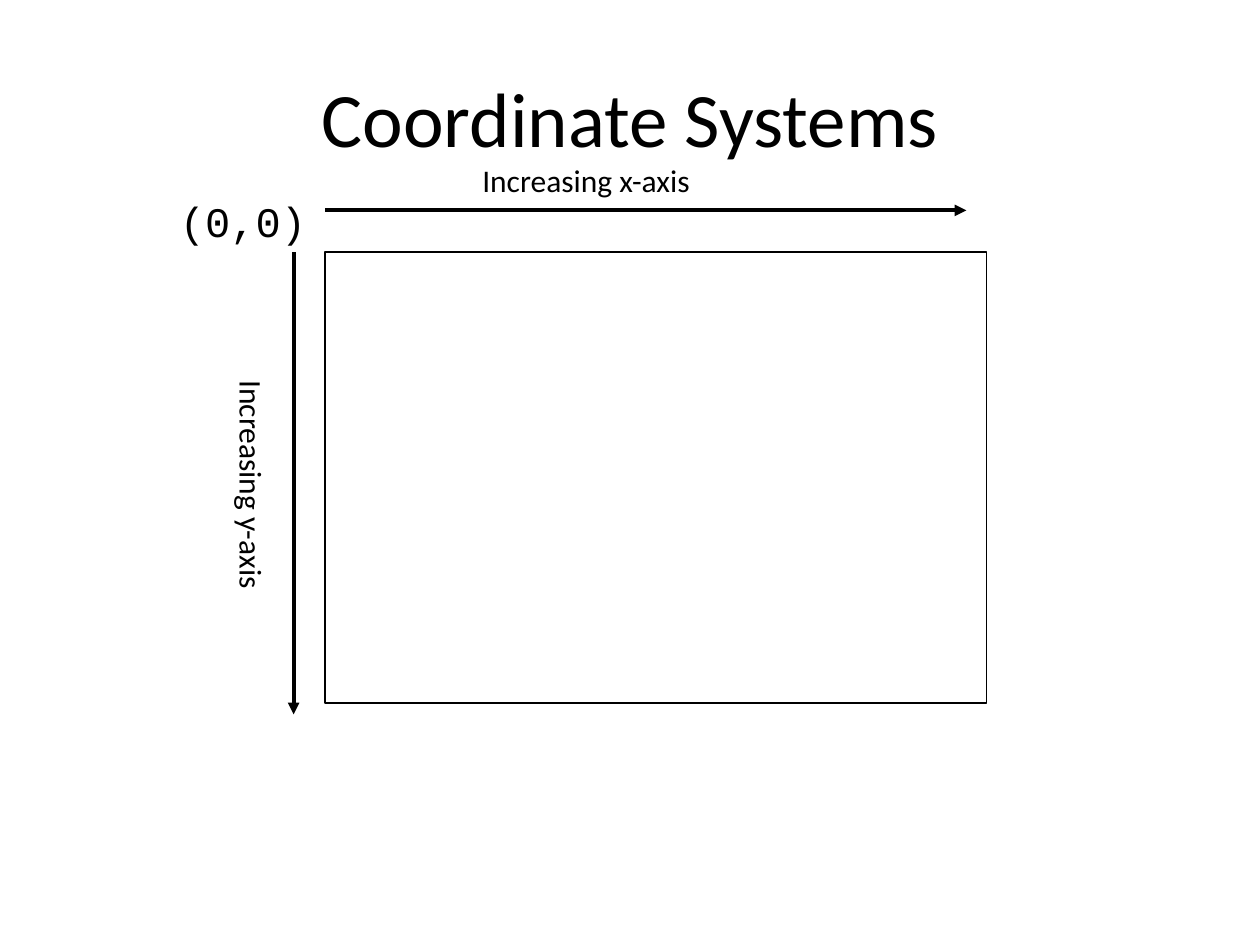
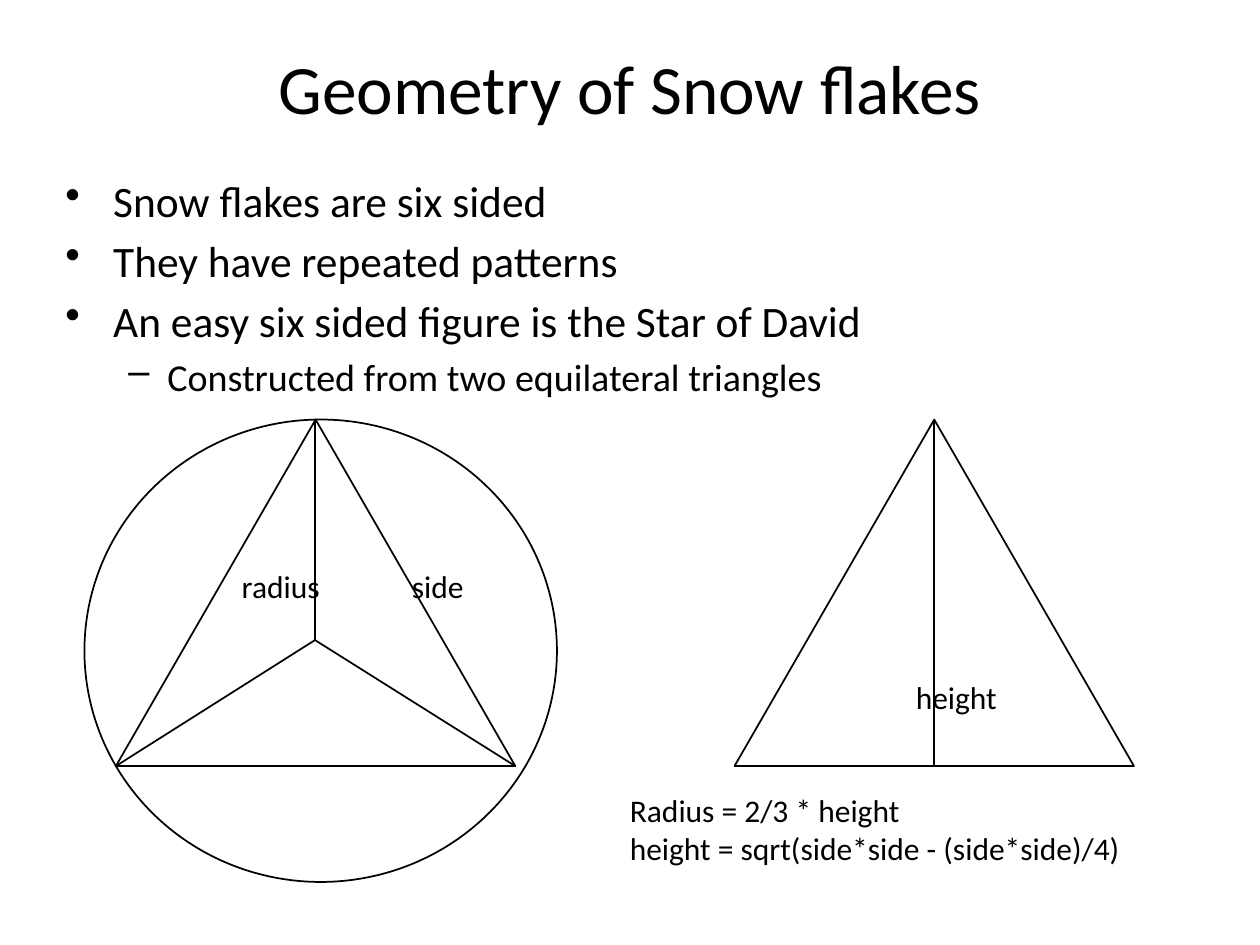
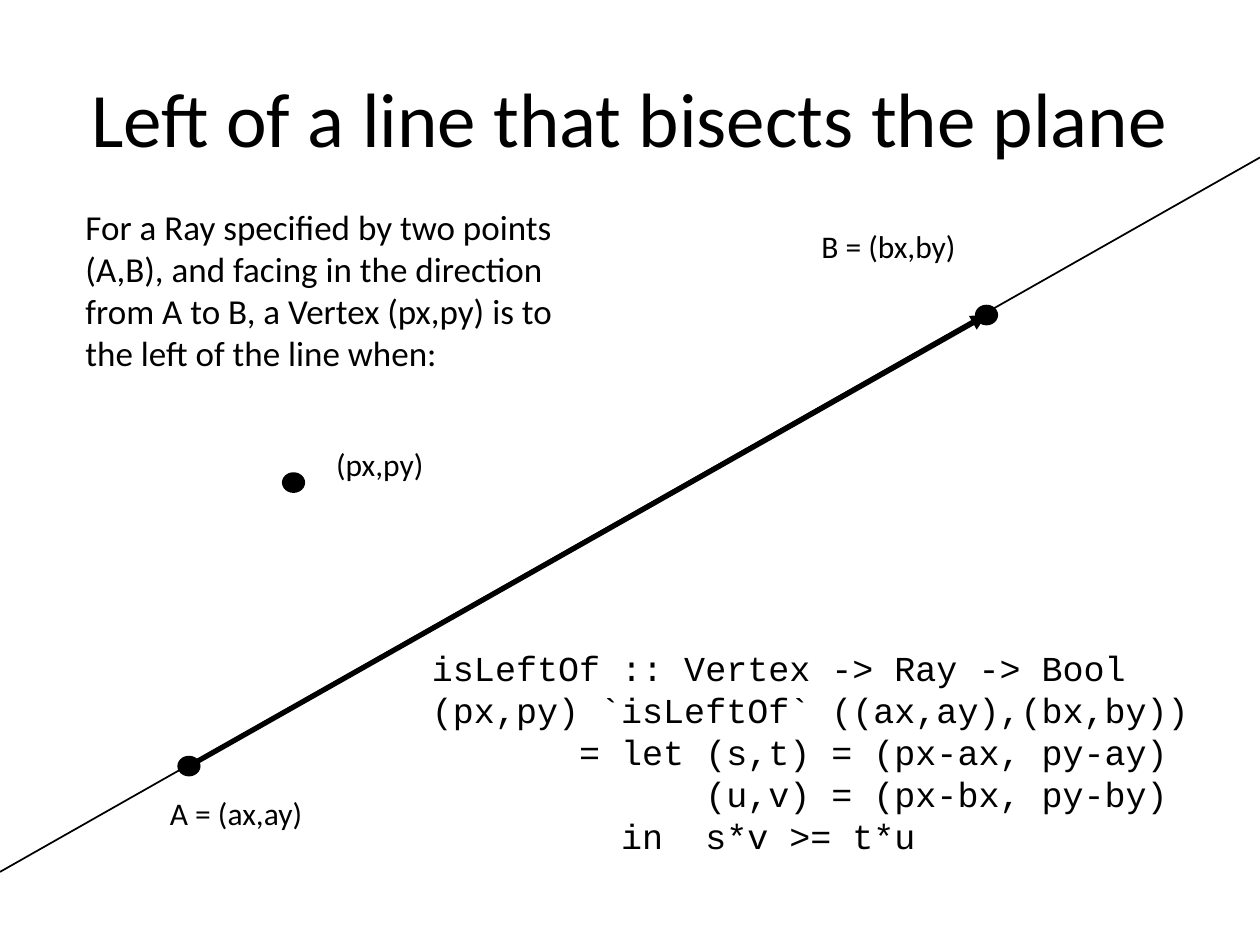
from dataclasses import dataclass

from lxml.etree import SubElement
from pptx import Presentation
from pptx.dml.color import RGBColor
from pptx.enum.shapes import MSO_CONNECTOR as Connector, MSO_SHAPE as Preset
from pptx.enum.text import MSO_ANCHOR as Anchor, PP_ALIGN as Align
from pptx.oxml.ns import qn
from pptx.slide import Slide
from pptx.util import Inches, Pt


@dataclass(frozen=True)
class Theme:
    ink: RGBColor = RGBColor(0x00, 0x00, 0x00)
    paper: RGBColor = RGBColor(0xFF, 0xFF, 0xFF)
    sans: str = "Calibri"
    mono: str = "Courier New"
    title: float = 44
    small_title: float = 39.6
    bullet: float = 24.8
    sub_bullet: float = 21.7
    origin: float = 24
    passage: float = 20
    label: float = 18
    thin: float = 1
    axis: float = 2.25
    ray: float = 3


THEME = Theme()


@dataclass(frozen=True)
class Point:
    x: float
    y: float


@dataclass(frozen=True)
class Frame:
    left: float
    top: float
    width: float
    height: float

    def lengths(self) -> tuple:
        return tuple(Inches(n) for n in (self.left, self.top, self.width, self.height))


@dataclass(frozen=True)
class Text:
    frame: Frame
    lines: tuple[str, ...]
    size: float = THEME.label
    font: str = THEME.sans
    align: Align = Align.LEFT
    anchor: Anchor = Anchor.TOP
    rotation: float = 0
    wrap: bool = False


@dataclass(frozen=True)
class Line:
    start: Point
    end: Point
    weight: float = THEME.thin
    arrow: bool = False


@dataclass(frozen=True)
class BulletStyle:
    mark: str
    size: float
    margin: float
    hang: float
    before: float


@dataclass(frozen=True)
class Bullet:
    text: str
    style: BulletStyle


MAIN = BulletStyle("•", THEME.bullet, 0.38, 0.38, 4.6)
SUB = BulletStyle("–", THEME.sub_bullet, 0.81, 0.31, 4)


# Drawing functions
def add_run(para, text: str, size: float, font: str) -> None:
    span = para.add_run()
    span.text = text
    span.font.size = Pt(size)
    span.font.name = font
    span.font.color.rgb = THEME.ink


def add_text(page: Slide, item: Text) -> None:
    box = page.shapes.add_textbox(*item.frame.lengths())
    box.rotation = item.rotation
    frame = box.text_frame
    frame.word_wrap = item.wrap
    frame.vertical_anchor = item.anchor
    for index, line in enumerate(item.lines):
        para = frame.add_paragraph() if index else frame.paragraphs[0]
        para.alignment = item.align
        add_run(para, line, item.size, item.font)


def add_title(page: Slide, title: str, size: float = THEME.title, height: float = 1.25) -> None:
    add_text(page, Text(Frame(0.5, 0.3, 9, height), (title,), size,
                        align=Align.CENTER, anchor=Anchor.MIDDLE, wrap=True))


def add_bullets(page: Slide, frame: Frame, bullets: tuple[Bullet, ...]) -> None:
    body = page.shapes.add_textbox(*frame.lengths()).text_frame
    body.word_wrap = True
    for index, bullet in enumerate(bullets):
        style = bullet.style
        para = body.add_paragraph() if index else body.paragraphs[0]
        if index:
            para.space_before = Pt(style.before)
        props = para._p.get_or_add_pPr()
        props.set("marL", str(Inches(style.margin)))
        props.set("indent", str(-Inches(style.hang)))
        SubElement(props, qn("a:buChar"), char=style.mark)
        add_run(para, bullet.text, style.size, THEME.sans)


def add_outline(page: Slide, preset: Preset, frame: Frame,
                fill: RGBColor = THEME.paper) -> None:
    shape = page.shapes.add_shape(preset, *frame.lengths())
    shape.shadow.inherit = False
    shape.fill.solid()
    shape.fill.fore_color.rgb = fill
    shape.line.color.rgb = THEME.ink
    shape.line.width = Pt(THEME.thin)


def add_dot(page: Slide, center: Point) -> None:
    width, height = 0.17, 0.15
    add_outline(page, Preset.OVAL,
                Frame(center.x - width / 2, center.y - height / 2, width, height), THEME.ink)


def add_line(page: Slide, item: Line) -> None:
    ends = (item.start.x, item.start.y, item.end.x, item.end.y)
    connector = page.shapes.add_connector(Connector.STRAIGHT, *(Inches(n) for n in ends))
    connector.line.color.rgb = THEME.ink
    connector.line.width = Pt(item.weight)
    props = connector.element.spPr
    if item.arrow:
        SubElement(props.find(qn("a:ln")), qn("a:tailEnd"), type="triangle")
    SubElement(props, qn("a:effectLst"))


# Slides
def build_coordinates(page: Slide) -> None:
    add_title(page, "Coordinate Systems")
    add_outline(page, Preset.RECTANGLE, Frame(2.58, 2, 5.25, 3.58))
    add_text(page, Text(Frame(1.33, 1.5, 1.2, 0.5), ("(0,0)",), THEME.origin, THEME.mono))
    add_line(page, Line(Point(2.58, 1.67), Point(7.67, 1.67), THEME.axis, arrow=True))
    add_line(page, Line(Point(2.33, 2), Point(2.33, 5.67), THEME.axis, arrow=True))
    add_text(page, Text(Frame(3.73, 1.23, 2.07, 0.37), ("Increasing x-axis",)))
    add_text(page, Text(Frame(0.98, 3.77, 2.07, 0.37), ("Increasing y-axis",), rotation=90))


def build_snow_flakes(page: Slide) -> None:
    top, width, height = 3.33, 3.17, 2.75
    base = top + height
    left_triangle, right_triangle = 0.92, 5.83
    center = Point(2.5, 5.08)
    middle = right_triangle + width / 2

    add_outline(page, Preset.OVAL, Frame(0.67, top, 3.75, 3.67))
    add_title(page, "Geometry of Snow flakes", THEME.small_title, 0.78)
    add_bullets(page, Frame(0.42, 1.33, 8.92, 1.75), (
        Bullet("Snow flakes are six sided", MAIN),
        Bullet("They have repeated patterns", MAIN),
        Bullet("An easy six sided figure is the Star of David", MAIN),
        Bullet("Constructed from two equilateral triangles", SUB),
    ))

    # Triangles with the radii and the height
    for left in (left_triangle, right_triangle):
        add_outline(page, Preset.ISOSCELES_TRIANGLE, Frame(left, top, width, height))
    corners = (Point(center.x, top), Point(left_triangle, base),
               Point(left_triangle + width, base))
    for corner in corners:
        add_line(page, Line(corner, center))
    add_line(page, Line(Point(middle, top), Point(middle, base)))

    for label in (
        Text(Frame(3.17, 4.45, 0.65, 0.37), ("side",)),
        Text(Frame(7.17, 5.33, 0.87, 0.37), ("height",)),
        Text(Frame(1.82, 4.45, 0.87, 0.37), ("radius",)),
        Text(Frame(4.9, 6.23, 4.18, 0.64),
             ("Radius = 2/3 * height", "height = sqrt(side*side - (side*side)/4)")),
    ):
        add_text(page, label)


def build_left_of_line(page: Slide) -> None:
    point_a, point_b, vertex = Point(1.5, 6.08), Point(7.83, 2.5), Point(2.33, 3.83)

    add_title(page, "Left of a line that bisects the plane")
    add_line(page, Line(point_a, point_b, THEME.ray, arrow=True))
    add_line(page, Line(Point(0, 6.92), Point(10, 1.25)))
    add_text(page, Text(Frame(0.58, 1.58, 4.61, 1.43), (
        "For a Ray specified by two points",
        "(A,B), and facing in the direction",
        "from A to B, a Vertex (px,py) is to",
        "the left of the line when:",
    ), THEME.passage))
    add_text(page, Text(Frame(3.33, 5.08, 6.42, 1.77), (
        "isLeftOf :: Vertex -> Ray -> Bool",
        "(px,py) `isLeftOf` ((ax,ay),(bx,by))",
        "       = let (s,t) = (px-ax, py-ay)",
        "             (u,v) = (px-bx, py-by)",
        "         in  s*v >= t*u",
    ), THEME.passage, THEME.mono, wrap=True))

    # Named points
    for point in (vertex, point_a, point_b):
        add_dot(page, point)
    add_text(page, Text(Frame(1.25, 6.25, 1.32, 0.37), ("A = (ax,ay)",)))
    add_text(page, Text(Frame(6.42, 1.75, 1.35, 0.37), ("B = (bx,by)",)))
    add_text(page, Text(Frame(2.57, 3.48, 0.93, 0.37), ("(px,py)",)))


def main() -> None:
    deck = Presentation()
    deck.slide_width, deck.slide_height = Inches(10), Inches(7.5)
    blank = deck.slide_layouts[6]
    for build in (build_coordinates, build_snow_flakes, build_left_of_line):
        build(deck.slides.add_slide(blank))
    deck.save("out.pptx")


if __name__ == "__main__":
    main()
